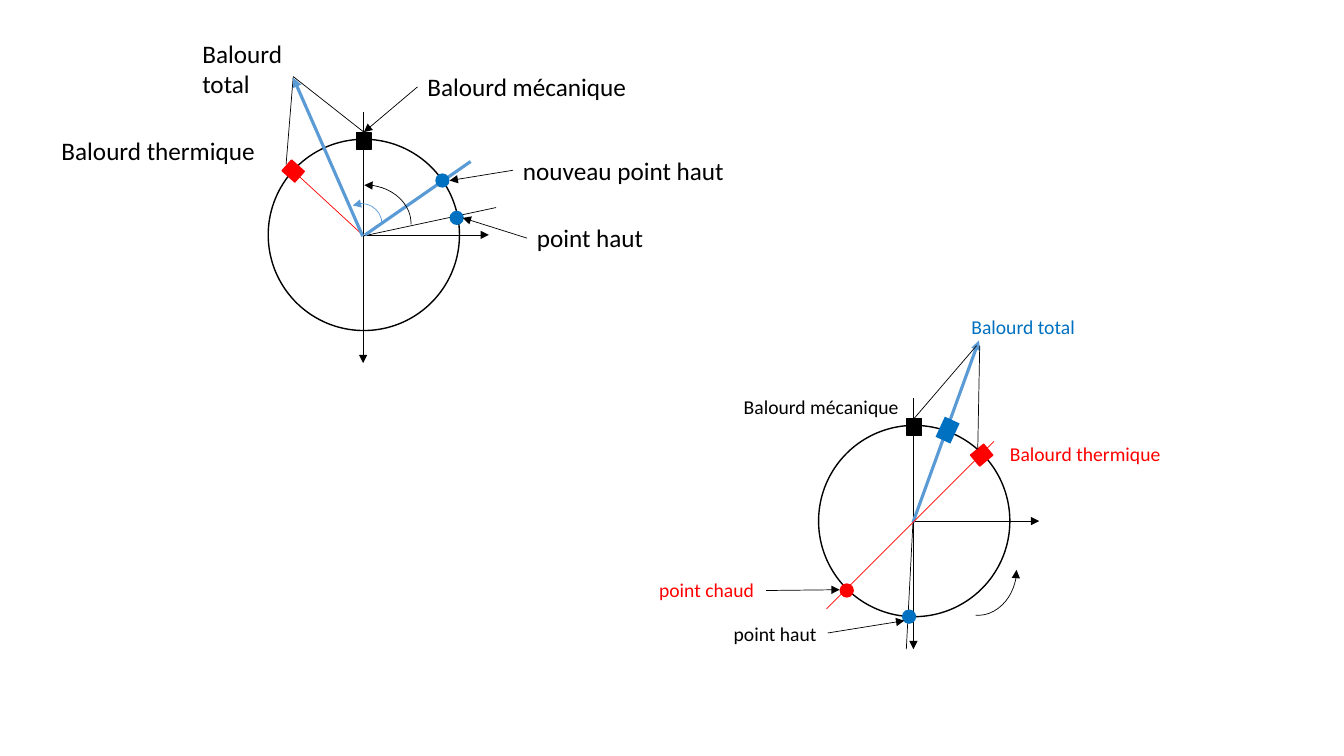
from dataclasses import dataclass
from lxml.etree import SubElement
from pptx import Presentation
from pptx.dml.color import RGBColor
from pptx.enum.shapes import MSO_CONNECTOR, MSO_SHAPE
from pptx.enum.text import MSO_AUTO_SIZE, PP_ALIGN
from pptx.oxml.ns import qn
from pptx.util import Cm, Pt


@dataclass(frozen=True)
class Theme:
    black: str = "000000"
    white: str = "FFFFFF"
    red: str = "FF0000"
    blue: str = "0070C0"
    vector: str = "5B9BD5"
    font: str = "Calibri"
    large: float = 18
    small: float = 14
    thin: float = 0.5
    outline: float = 1
    thick: float = 2.25


THEME = Theme()
RADIUS = 2.41
SQUARE = (0.36, 0.43)
DOT = (0.36, 0.36)
SWEEP = (2.11, 1.75)
SWEEP_ANGLES = (149.775, 212.24)
LARGE_BOX, SMALL_BOX = 1.02, 0.86

# Content: every position is in cm from the rotor centre, y pointing down.
# Lines and arrows give start and end, marks their centre, labels their top left.
ROTOR = [
    ("mark", (0, 0), (2 * RADIUS, 2 * RADIUS),
     dict(kind=MSO_SHAPE.OVAL, fill=THEME.white, line=THEME.black)),
    ("arrow", (-0.02, 0), (-0.02, 3.23), {}),
    ("arrow", (-0.05, 0), (3.15, 0), {}),
    ("mark", (0, -2.37), SQUARE, dict(fill=THEME.black, line=THEME.black)),
    ("line", (-0.02, -3.1), (-0.02, 0.97), {}),
]

NEW_HIGH_POINT = [
    ("line", (3.33, -0.69), (-0.03, 0.03), {}),
    ("mark", (2.34, -0.43), DOT, dict(kind=MSO_SHAPE.OVAL, fill=THEME.blue)),
    ("label", (1.35, -4.24), (5.59, LARGE_BOX), dict(text="Balourd mécanique")),
    ("arrow", (1.35, -3.73), (0, -2.59), {}),
    ("label", (4.11, -0.43), (3.23, LARGE_BOX), dict(text="point haut")),
    ("arrow", (4.11, 0.08), (2.49, -0.43), {}),
    ("line", (-0.03, 0), (-1.68, -1.52), dict(color=THEME.red)),
    ("label", (-7.87, -2.64), (5.77, LARGE_BOX), dict(text="Balourd thermique", wrap=True)),
    ("mark", (-1.78, -1.61), SQUARE, dict(fill=THEME.red, line=THEME.red, rotation=311.8)),
    ("line", (-1.96, -1.78), (-1.78, -3.99), {}),
    ("line", (0, -2.59), (-1.78, -3.99), {}),
    ("arrow", (-0.03, 0.03), (-1.78, -3.96), dict(color=THEME.vector, width=THEME.thick)),
    ("label", (-4.32, -5.08), (3.78, 1.8), dict(text="Balourd total", wrap=True)),
    ("label", (3.76, -2.13), (6.71, LARGE_BOX), dict(text="nouveau point haut", wrap=True)),
    ("arrow", (3.76, -1.63), (2.16, -1.37), {}),
    ("line", (2.69, -1.85), (0.03, 0), dict(color=THEME.vector, width=THEME.thick)),
    ("mark", (1.98, -1.37), DOT, dict(kind=MSO_SHAPE.OVAL, fill=THEME.blue)),
    ("arc", (-0.06, -0.27), (1.04, 1.04), dict(angles=(147.117, 0), line=THEME.vector)),
    ("arc", (0.14, -0.37), SWEEP, dict(rotation=12.1)),
]

HOT_POINT = [
    ("line", (-0.2, 3.23), (-0.03, 0), {}),
    ("mark", (-0.13, 2.41), DOT, dict(kind=MSO_SHAPE.OVAL, fill=THEME.blue)),
    ("label", (-4.57, -3.3), (4.45, SMALL_BOX),
     dict(text="Balourd mécanique", align=PP_ALIGN.CENTER)),
    ("label", (-4.8, 2.41), (2.62, SMALL_BOX), dict(text="point haut")),
    ("arrow", (-2.18, 2.82), (-0.25, 2.51), {}),
    ("mark", (1.7, -1.66), SQUARE, dict(fill=THEME.red, line=THEME.red, rotation=50.3)),
    ("arrow", (-0.03, 0.03), (1.63, -4.55), dict(color=THEME.vector, width=THEME.thick)),
    ("label", (1.19, -5.31), (4.83, SMALL_BOX),
     dict(text="Balourd total", color=THEME.blue, wrap=True)),
    ("mark", (-1.7, 1.75), DOT, dict(kind=MSO_SHAPE.OVAL, fill=THEME.red)),
    ("label", (-6.68, 1.32), (2.92, SMALL_BOX), dict(text="point chaud", color=THEME.red)),
    ("arrow", (-3.73, 1.75), (-1.88, 1.73), {}),
    ("line", (2.01, -2.01), (-2.21, 2.21), dict(color=THEME.red)),
    ("label", (2.16, -2.13), (4.34, SMALL_BOX),
     dict(text="Balourd thermique", color=THEME.red)),
    ("line", (0, -2.59), (1.57, -4.42), {}),
    ("line", (1.6, -1.8), (1.65, -4.42), {}),
    ("mark", (0.84, -2.29), (0.41, 0.56), dict(fill=THEME.blue, rotation=24.7)),
    ("arc", (1.69, 1.33), SWEEP, dict(rotation=104)),
]

# Centre of each rotor, its label size and its parts
DIAGRAMS = [
    ((9.17, 5.92), THEME.large, NEW_HIGH_POINT),
    ((23.04, 13.13), THEME.small, HOT_POINT),
]


def set_line(line, color, width):
    line.color.rgb = RGBColor.from_string(color)
    line.width = Pt(width)


def add_arrowhead(shape, end):
    SubElement(shape.line._get_or_add_ln(), qn(f"a:{end}"), type="triangle")


def add_line(shapes, start, end, color=THEME.black, width=THEME.thin, arrow=False):
    points = [Cm(value) for value in (*start, *end)]
    connector = shapes.add_connector(MSO_CONNECTOR.STRAIGHT, *points)
    set_line(connector.line, color, width)
    if arrow:
        add_arrowhead(connector, "tailEnd")
    SubElement(connector._element.spPr, qn("a:effectLst"))


def add_mark(shapes, center, size, kind=MSO_SHAPE.RECTANGLE, fill=None, line=None,
             width=THEME.outline, rotation=0):
    corner = [middle - length / 2 for middle, length in zip(center, size)]
    shape = shapes.add_shape(kind, *[Cm(value) for value in (*corner, *size)])
    shape.shadow.inherit = False
    shape.rotation = rotation
    if fill:
        shape.fill.solid()
        shape.fill.fore_color.rgb = RGBColor.from_string(fill)
    else:
        shape.fill.background()
    if line:
        set_line(shape.line, line, width)
    else:
        shape.line.fill.background()
    return shape


def add_arc(shapes, center, size, angles=SWEEP_ANGLES, line=THEME.black, rotation=0):
    arc = add_mark(shapes, center, size, kind=MSO_SHAPE.ARC, line=line,
                   width=THEME.thin, rotation=rotation)
    for index, angle in enumerate(angles):
        arc.adjustments[index] = angle
    add_arrowhead(arc, "headEnd")


def add_label(shapes, corner, box, text, size, color=THEME.black, wrap=False,
              align=PP_ALIGN.LEFT):
    label = shapes.add_textbox(*[Cm(value) for value in (*corner, *box)])
    frame = label.text_frame
    frame.word_wrap = wrap
    frame.auto_size = MSO_AUTO_SIZE.SHAPE_TO_FIT_TEXT
    paragraph = frame.paragraphs[0]
    paragraph.alignment = align
    run = paragraph.add_run()
    run.text = text
    run.font.name = THEME.font
    run.font.size = Pt(size)
    run.font.color.rgb = RGBColor.from_string(color)


def add_diagram(slide, center, label_size, parts):
    shapes = slide.shapes.add_group_shape().shapes

    def place(point):
        return [origin + offset for origin, offset in zip(center, point)]

    for part, first, second, options in ROTOR + parts:
        if part in ("line", "arrow"):
            add_line(shapes, place(first), place(second), arrow=part == "arrow", **options)
        elif part == "mark":
            add_mark(shapes, place(first), second, **options)
        elif part == "arc":
            add_arc(shapes, place(first), second, **options)
        else:
            add_label(shapes, place(first), second, size=label_size, **options)


def main():
    presentation = Presentation()
    presentation.slide_width, presentation.slide_height = Cm(33.87), Cm(19.05)
    slide = presentation.slides.add_slide(presentation.slide_layouts[6])
    for center, label_size, parts in DIAGRAMS:
        add_diagram(slide, center, label_size, parts)
    presentation.save("out.pptx")


if __name__ == "__main__":
    main()
